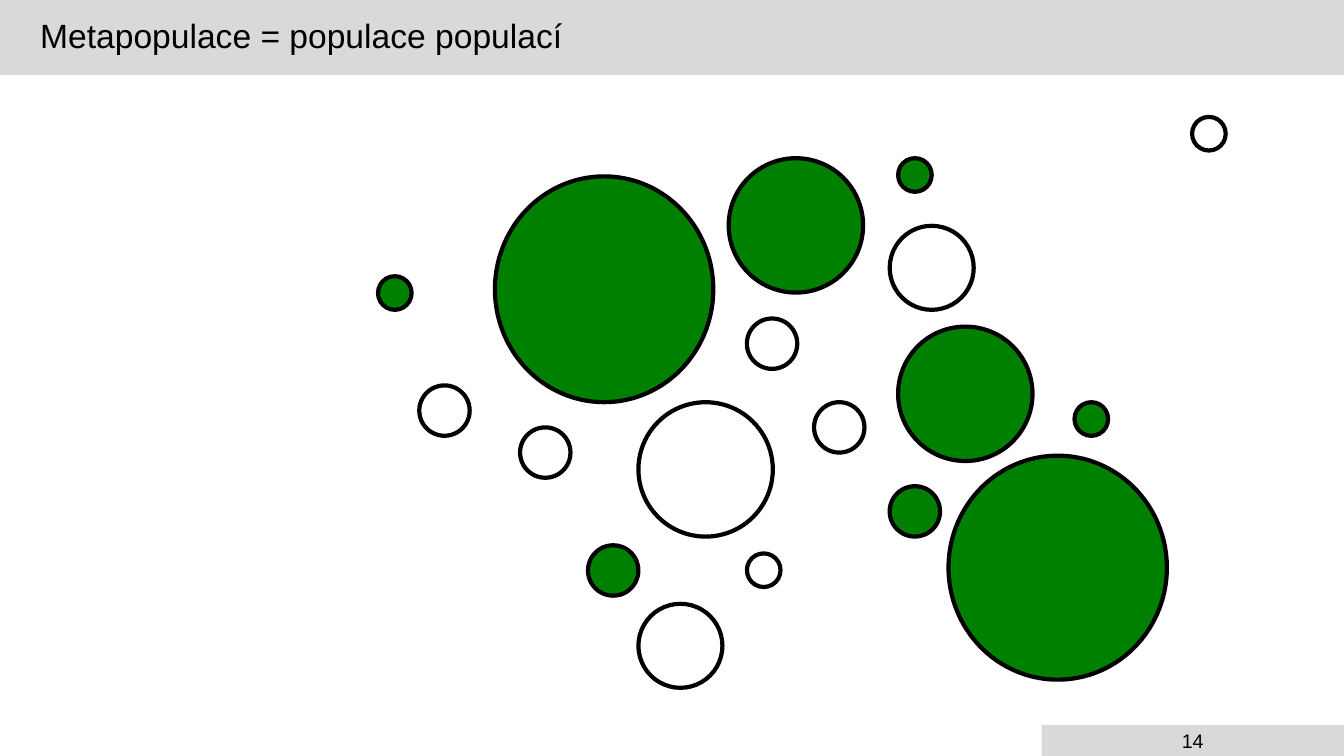
from typing import NamedTuple

from pptx import Presentation
from pptx.dml.color import RGBColor
from pptx.enum.shapes import MSO_SHAPE
from pptx.enum.text import MSO_ANCHOR, PP_ALIGN
from pptx.oxml.ns import qn
from pptx.util import Pt

BLACK, WHITE, GRAY, GREEN = "000000", "FFFFFF", "D9D9D9", "008000"
TINY, SMALL, MEDIUM, LARGE, HUGE = 24, 36, 60, 96, 156


class Patch(NamedTuple):
    left: float
    top: float
    width: float
    occupied: bool = False
    height: float | None = None


PATCHES = [
    Patch(371.5, 305.3, SMALL),
    Patch(456, 287.3, LARGE),
    Patch(353.5, 126, HUGE, True, 161.3),
    Patch(420, 389.5, SMALL, True),
    Patch(533.5, 227.5, SMALL),
    Patch(533.5, 395.3, TINY),
    Patch(635.5, 347.3, SMALL, True),
    Patch(641.5, 233.3, LARGE, True),
    Patch(520.5, 113, LARGE, True),
    Patch(581.5, 287.3, SMALL),
    Patch(299.5, 275.3, SMALL),
    Patch(677.5, 325.5, HUGE, True, 160),
    Patch(635.5, 161.3, MEDIUM),
    Patch(456, 431.3, MEDIUM),
    Patch(641.5, 113, TINY, True),
    Patch(767.5, 287.3, TINY, True),
    Patch(270, 197.3, TINY, True),
    Patch(851.5, 83.5, TINY),
]


def color(value: str) -> RGBColor:
    return RGBColor.from_string(value)


def add_shape(s, kind, left: float, top: float, width: float, height: float,
              fill: str, line: str | None = None):
    sp = s.shapes.add_shape(kind, Pt(left), Pt(top), Pt(width), Pt(height))
    sp.shadow.inherit = False
    sp.fill.solid()
    sp.fill.fore_color.rgb = color(fill)
    if line:
        sp.line.color.rgb = color(line)
        sp.line.width = Pt(3)
    else:
        sp.line.fill.background()
    return sp


def add_text(sp, text: str, *, size: float, align=PP_ALIGN.LEFT,
             indent: float = 0, spacing: float = 1.0) -> None:
    tf = sp.text_frame
    tf.word_wrap = True
    tf.vertical_anchor = MSO_ANCHOR.MIDDLE
    p = tf.paragraphs[0]
    p.alignment = align
    p.line_spacing = spacing
    p._p.get_or_add_pPr().set("marL", str(Pt(indent)))
    r = p.add_run()
    r.text = text
    r.font.name = "Arial"
    r.font.size = Pt(size)
    r.font.color.rgb = color(BLACK)
    r._r.get_or_add_rPr().set("lang", "cs-CZ")


def draw_patch(s, patch: Patch) -> None:
    add_shape(s, MSO_SHAPE.OVAL, patch.left, patch.top, patch.width,
              patch.height or patch.width,
              GREEN if patch.occupied else WHITE, BLACK)


def main() -> None:
    prs = Presentation()
    prs.slide_width, prs.slide_height = Pt(960), Pt(540)
    s = prs.slides.add_slide(prs.slide_layouts[6])

    title = add_shape(s, MSO_SHAPE.RECTANGLE, 0, 0, 960, 53.5, GRAY)
    add_text(title, "Metapopulace = populace populací", size=24,
             indent=21.6, spacing=0.9)
    number = add_shape(s, MSO_SHAPE.RECTANGLE, 744, 517.7, 216, 22.3, GRAY)
    add_text(number, "14", size=14, align=PP_ALIGN.CENTER)

    for patch in PATCHES:
        draw_patch(s, patch)

    prs.save("out.pptx")


if __name__ == "__main__":
    main()
